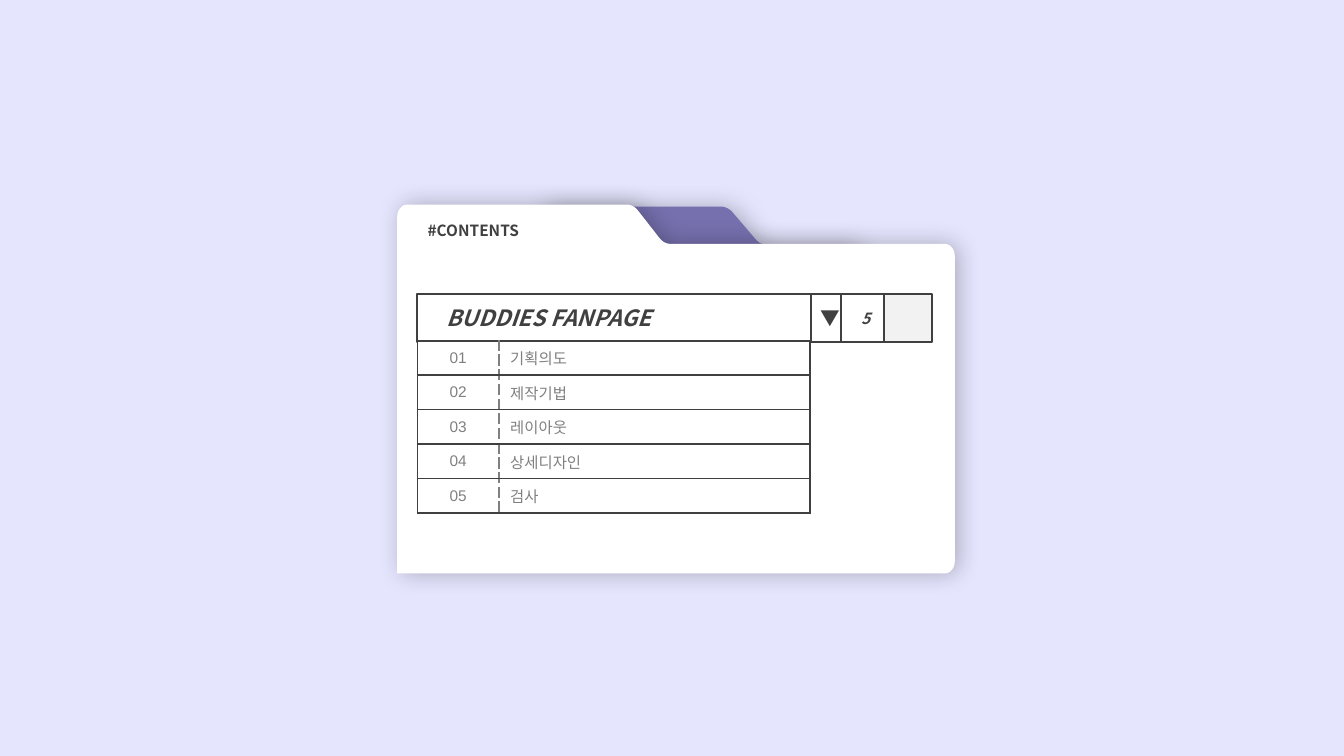
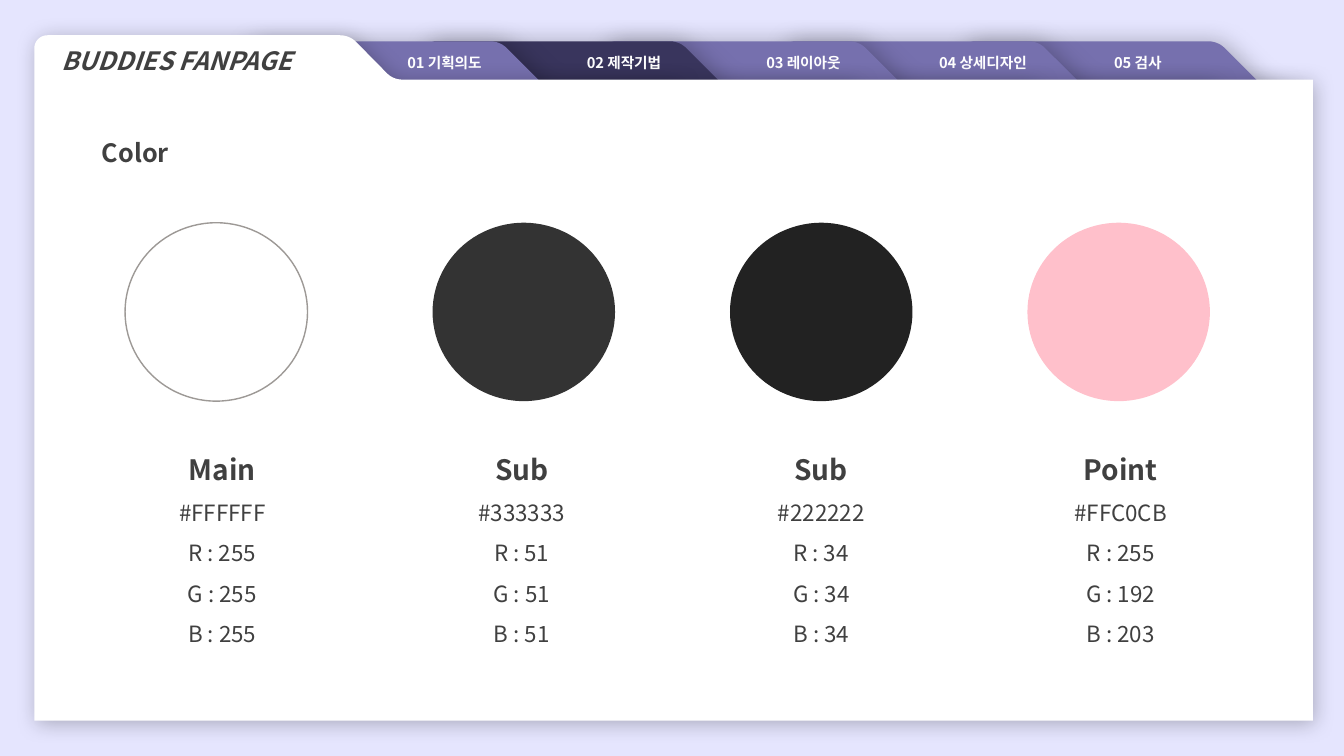
"""Build the contents slide and the colour slide of the fan page deck."""
from dataclasses import dataclass

from lxml.etree import SubElement
from pptx import Presentation
from pptx.dml.color import RGBColor
from pptx.enum.shapes import MSO_SHAPE as Preset
from pptx.enum.text import MSO_ANCHOR as Anchor, MSO_AUTO_SIZE as AutoSize, PP_ALIGN as Align
from pptx.oxml.ns import qn
from pptx.util import Inches, Pt


@dataclass(frozen=True)
class Theme:
    """Hold the colours, fonts and type sizes of the deck."""
    backdrop: RGBColor = RGBColor.from_string("E5E5FE")
    tab: RGBColor = RGBColor.from_string("7670AE")
    active_tab: RGBColor = RGBColor.from_string("39355D")
    white: RGBColor = RGBColor.from_string("FFFFFF")
    ink: RGBColor = RGBColor.from_string("404040")
    muted: RGBColor = RGBColor.from_string("808080")
    pale: RGBColor = RGBColor.from_string("F2F2F2")
    outline: RGBColor = RGBColor.from_string("9D9996")
    font: str = "Noto Sans CJK KR"
    table_font: str = "Arial"
    tab_size: float = 10.5
    small: float = 11
    symbol: float = 14
    body: float = 16
    title: float = 18
    heading: float = 20


THEME = Theme()
BRAND = "BUDDIES FANPAGE"
SECTIONS = ["기획의도", "제작기법", "레이아웃", "상세디자인", "검사"]
ACTIVE_SECTION = 1
SWATCHES = [
    ("Main", "FFFFFF", 1.24),
    ("Sub", "333333", 4.29),
    ("Sub", "222222", 7.24),
    ("Point", "FFC0CB", 10.19),
]


def add_run(para, text, size, color=THEME.ink, bold=False, italic=False, font=THEME.font):
    """Add one formatted run to a paragraph."""
    span = para.add_run()
    span.text = text
    span.font.name = font
    span.font.size = Pt(size)
    span.font.color.rgb = color
    span.font.bold = bold
    span.font.italic = italic
    SubElement(span.font._element, qn("a:ea")).set("typeface", THEME.font)


def set_frame(shape, anchor=Anchor.TOP, margins=(0.1, 0.05, 0.1, 0.05)):
    """Set wrapping, anchor and margins of a text frame and return it."""
    frame = shape.text_frame
    frame.word_wrap = True
    frame.auto_size = AutoSize.NONE
    frame.vertical_anchor = anchor
    frame.margin_left, frame.margin_top, frame.margin_right, frame.margin_bottom = map(Inches, margins)
    return frame


def place_title(slide, text, box, size, spacing=1.0):
    """Move the title placeholder to the front and fill it."""
    title = slide.shapes.title
    title.left, title.top, title.width, title.height = map(Inches, box)
    slide.shapes._spTree.append(title._element)
    para = set_frame(title).paragraphs[0]
    para.alignment = Align.LEFT
    para.line_spacing = spacing
    add_run(para, text, size, bold=True)


def paint(shape, fill, line=None, width=1.5):
    """Give a shape a flat fill and an optional outline."""
    shape.shadow.inherit = False
    shape.fill.solid()
    shape.fill.fore_color.rgb = fill
    if line is None:
        shape.line.fill.background()
    else:
        shape.line.color.rgb = line
        shape.line.width = Pt(width)


def add_glow(shape, blur=17, angle=0):
    """Add a soft black shadow to a shape."""
    effects = shape._element.spPr.find(qn("a:effectLst"))
    shadow = SubElement(effects, qn("a:outerShdw"), blurRad=str(Pt(blur)), dist=str(Pt(3)),
                        dir=str(angle * 60000), algn="ctr", rotWithShape="0")
    color = SubElement(shadow, qn("a:srgbClr"), val="000000")
    SubElement(color, qn("a:alpha"), val="25000")


def curve(start, control_a, control_b, end, steps=10):
    """Return points along a cubic curve."""
    points = []
    for step in range(steps + 1):
        t = step / steps
        weights = ((1 - t) ** 3, 3 * t * (1 - t) ** 2, 3 * t * t * (1 - t), t ** 3)
        points.append(tuple(
            sum(weight * value for weight, value in zip(weights, values))
            for values in zip(start, control_a, control_b, end)))
    return points


def corner(start, pivot, end):
    """Return points of a rounded corner around a pivot."""
    control_a, control_b = (
        tuple(edge + 0.55 * (tip - edge) for edge, tip in zip(point, pivot))
        for point in (start, end))
    return curve(start, control_a, control_b, end)


def add_folder(slide, box, shoulder, slope, fill, left_radius=(0.13, 0.13),
               right_radius=None, blur=17, angle=0):
    """Add a folder outline whose tab slopes down after its shoulder."""
    left, top, right, bottom = box
    run, drop = slope

    def on_slope(*pairs):
        return [(shoulder + x * run, top + y * drop) for x, y in pairs]

    radius_x, radius_y = left_radius
    points = corner((left, top + radius_y), (left, top), (left + radius_x, top))
    points += curve(*on_slope((0.03, 0), (0.12, 0), (0.22, 0.05), (0.29, 0.16)))
    points += curve(*on_slope((0.75, 0.84), (0.82, 0.95), (0.91, 1), (1, 1)))
    step = top + drop
    if right_radius:
        radius_x, radius_y = right_radius
        points += corner((right - radius_x, step), (right, step), (right, step + radius_y))
        points += corner((right, bottom - radius_y), (right, bottom), (right - radius_x, bottom))
    else:
        points += [(right, step), (right, bottom)]
    points.append((left, bottom))
    first, *rest = [(Inches(x), Inches(y)) for x, y in points]
    builder = slide.shapes.build_freeform(*first)
    builder.add_line_segments(rest, close=True)
    folder = builder.convert_to_shape()
    paint(folder, fill)
    add_glow(folder, blur, angle)
    return folder


def add_text(slide, box, lines, align=Align.LEFT, spacing=1.0):
    """Add a text box with one paragraph for each text and style."""
    frame = set_frame(slide.shapes.add_textbox(*map(Inches, box)))
    for index, (text, style) in enumerate(lines):
        para = frame.add_paragraph() if index else frame.paragraphs[0]
        para.alignment = align
        para.line_spacing = spacing
        add_run(para, text, **style)


def add_header_cell(slide, left, width, text="", fill=THEME.white, align=Align.CENTER,
                    indent=0.1, **style):
    """Add one outlined cell of the bar above the contents table."""
    cell = slide.shapes.add_shape(Preset.RECTANGLE, *map(Inches, (left, 2.92, width, 0.47)))
    paint(cell, fill, THEME.ink)
    if text:
        para = set_frame(cell, Anchor.MIDDLE, (indent, 0.05, 0.1, 0.05)).paragraphs[0]
        para.alignment = align
        add_run(para, text, **style)


def set_borders(cell, dashed_side):
    """Draw solid cell borders with one dashed side."""
    properties = cell._tc.get_or_add_tcPr()
    for index, side in enumerate(("lnL", "lnR", "lnT", "lnB")):
        dashed = side == dashed_side
        color, width, dash = (THEME.muted, 1, "dash") if dashed else (THEME.ink, 1.5, "solid")
        border = SubElement(properties, qn(f"a:{side}"), w=str(Pt(width)))
        fill = SubElement(border, qn("a:solidFill"))
        SubElement(fill, qn("a:srgbClr"), val=str(color))
        SubElement(border, qn("a:prstDash"), val=dash)
        properties.insert(index, border)


def add_contents_table(slide):
    """Add the numbered table of sections."""
    box = map(Inches, (4.14, 3.38, 3.89, 1.69))
    table = slide.shapes.add_table(len(SECTIONS), 2, *box).table
    table.first_row = table.horz_banding = False
    for column, width in zip(table.columns, (0.81, 3.08)):
        column.width = Inches(width)
    columns = ((Align.CENTER, "lnR"), (Align.LEFT, "lnL"))
    for row, section in enumerate(SECTIONS):
        for column, text in enumerate((f"{row + 1:02}", section)):
            align, dashed_side = columns[column]
            cell = table.cell(row, column)
            cell.fill.solid()
            cell.fill.fore_color.rgb = THEME.white
            cell.vertical_anchor = Anchor.MIDDLE
            cell.margin_left = cell.margin_right = Inches(0.11)
            cell.margin_top = cell.margin_bottom = Inches(0.06)
            para = cell.text_frame.paragraphs[0]
            para.alignment = align
            add_run(para, text, THEME.small, THEME.muted, font=THEME.table_font)
            set_borders(cell, dashed_side)


def add_section_tabs(slide):
    """Add the section tabs, the last one at the back."""
    last = len(SECTIONS) - 1
    for index in range(last, -1, -1):
        left = 2.42 + 1.78 * index
        width = 3.15 if index == last else 4.27
        fill = THEME.active_tab if index == ACTIVE_SECTION else THEME.tab
        tab = add_folder(slide, (left, 0.41, left + width, 1.38), left + 2.42, (0.65, 0.44), fill)
        margins = (0.34, 0.12, 0, 0.05) if index == last else (0.1, 0.12, 0.39, 0.05)
        para = set_frame(tab, margins=margins).paragraphs[0]
        para.alignment = Align.CENTER
        add_run(para, f"{index + 1:02} {SECTIONS[index]}", THEME.tab_size, THEME.white, bold=True)


def add_swatch(slide, index, name, code, circle_left):
    """Add a colour circle and its values."""
    color = RGBColor.from_string(code)
    circle = slide.shapes.add_shape(Preset.OVAL, *map(Inches, (circle_left, 2.21, 1.81, 1.77)))
    paint(circle, color, THEME.outline if color == THEME.white else None, 1)
    values = [f"#{code}"] + [f"{channel} : {value}" for channel, value in zip("RGB", color)]
    lines = [(name, {"size": THEME.heading, "bold": True})]
    lines += [(value, {"size": THEME.body}) for value in values]
    add_text(slide, (0.96 + 2.97 * index, 4.27, 2.49, 2.62), lines, Align.CENTER, 1.5)


def build_contents(slide):
    """Build the contents slide."""
    radius = (0.1, 0.12)
    add_folder(slide, (5.36, 2.05, 8.48, 2.89), 7.13, (0.48, 0.38), THEME.tab, radius)
    add_folder(slide, (3.94, 2.03, 9.47, 5.69), 6.2, (0.45, 0.39), THEME.white, radius, radius)
    add_header_cell(slide, 4.14, 3.93, BRAND, align=Align.LEFT, indent=0.29,
                    size=THEME.body, bold=True, italic=True)
    add_header_cell(slide, 8.04, 0.34, "▼", size=THEME.symbol)
    add_header_cell(slide, 8.34, 0.49, "5", size=THEME.small, bold=True, italic=True)
    add_header_cell(slide, 8.77, 0.47, fill=THEME.pale)
    add_contents_table(slide)
    place_title(slide, "#CONTENTS", (4.14, 2.14, 1.47, 0.29), THEME.small)


def build_colors(slide):
    """Build the colour slide."""
    add_section_tabs(slide)
    add_folder(slide, (0.34, 0.35, 13.02, 7.15), 3.35, (0.64, 0.44), THEME.white,
               blur=15, angle=45)
    brand_style = {"size": THEME.title, "bold": True, "italic": True}
    add_text(slide, (0.51, 0.4, 2.9, 0.4), [(BRAND, brand_style)])
    place_title(slide, "Color", (0.91, 1.16, 11.57, 0.5), THEME.title, 1.5)
    for index, swatch in enumerate(SWATCHES):
        add_swatch(slide, index, *swatch)


def main():
    """Build and save the deck."""
    deck = Presentation()
    deck.slide_width, deck.slide_height = Inches(13.33), Inches(7.5)
    backdrop = deck.slide_master.background.fill
    backdrop.solid()
    backdrop.fore_color.rgb = THEME.backdrop
    title_only = deck.slide_layouts[5]
    for build in (build_contents, build_colors):
        build(deck.slides.add_slide(title_only))
    deck.save("out.pptx")


if __name__ == "__main__":
    main()
